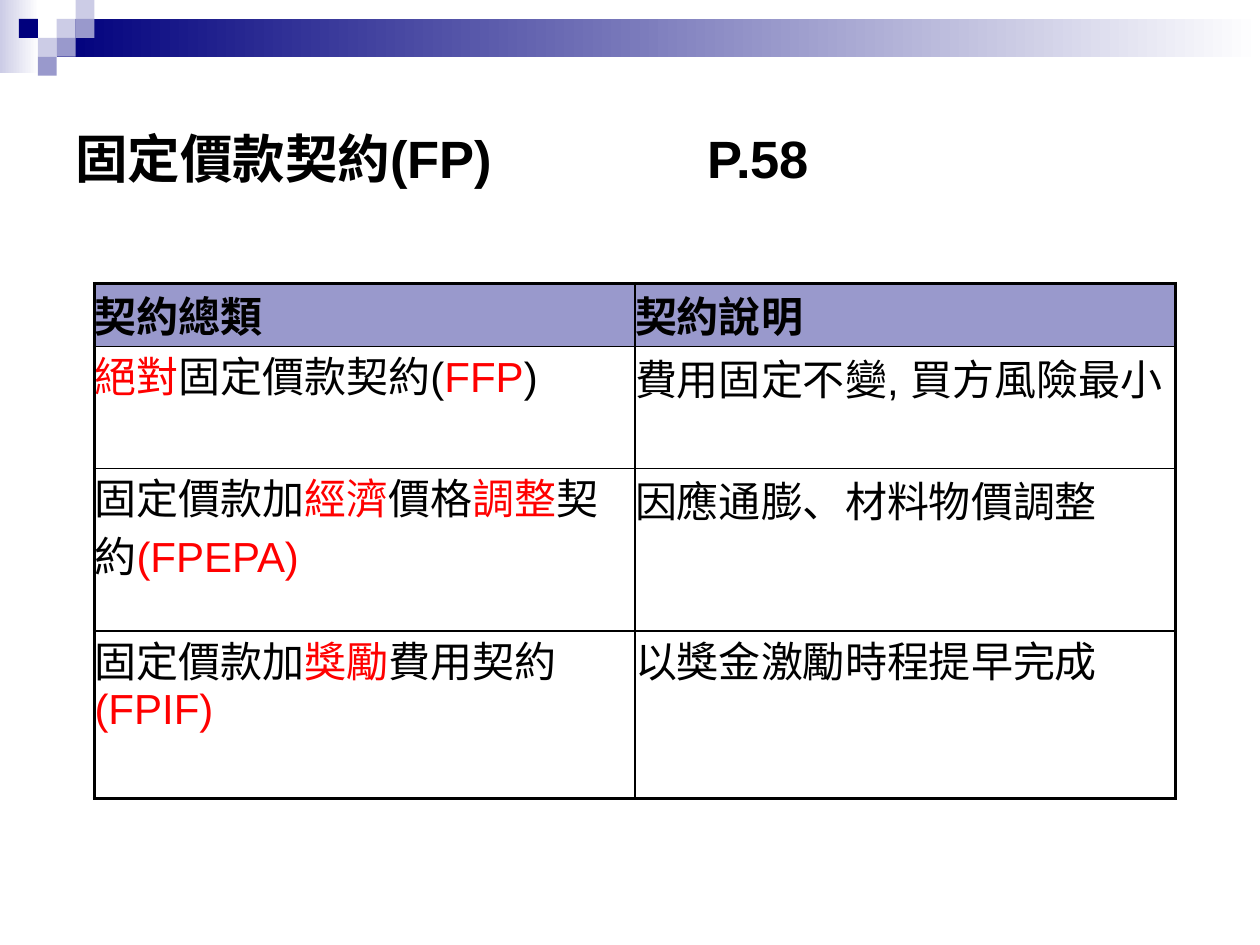
import pptx
import pptx.dml.color
import pptx.enum.shapes
import pptx.enum.text
import pptx.oxml
import pptx.oxml.ns
import pptx.util

COLORS = {
    "navy": "00007D",
    "violet": "9999CC",
    "lilac": "CCCCE6",
    "white": "FFFFFF",
    "black": "000000",
    "red": "FF0000",
}
UNIT = 0.15  # side of one decorative square, inches
THICK, THIN = 2.25, 1  # table rules, points

# Squares as column, row, colour
SQUARES = [
    (3, 1, "lilac"), (4, 0, "lilac"), (4, 1, "violet"), (2, 2, "lilac"),
    (1, 1, "navy"), (3, 2, "violet"), (2, 3, "violet"),
]

COLUMN_WIDTH = 4.29
ROW_HEIGHTS = [0.5, 0.97, 1.29, 1.33]
HEADINGS = ["契約總類", "契約說明"]
# Each cell: line spacing and its runs; "*" marks a red run
CONTRACTS = [
    [(0.95, ["*絕對", "固定價款契約(", "*FFP", ")"]),
     (1, ["費用固定不變, 買方風險最小"])],
    [(0.95, ["固定價款加", "*經濟", "價格", "*調整", "契約", "*(FPEPA)"]),
     (1, ["因應通膨、材料物價調整"])],
    [(0.95, ["固定價款加", "*獎勵", "費用契約", "*(FPIF)"]),
     (0.95, ["以獎金激勵時程提早完成"])],
]


def rgb(name):
    return pptx.dml.color.RGBColor.from_string(COLORS[name])


def add_text(p, text, size=24, color="black", bold=False):
    r = p.add_run()
    r.text = text
    r.font.name = "Arial"
    r.font.size = pptx.util.Pt(size)
    r.font.bold = bold
    r.font.color.rgb = rgb(color)


def set_margins(obj, x, y):
    obj.margin_left = obj.margin_right = pptx.util.Inches(x)
    obj.margin_top = obj.margin_bottom = pptx.util.Inches(y)


def add_block(s, x, y, w, h, color, fade=False):
    """Rectangle without outline, optionally fading to white on the right."""
    sp = s.shapes.add_shape(
        pptx.enum.shapes.MSO_SHAPE.RECTANGLE,
        *(pptx.util.Inches(v) for v in (x, y, w, h)))
    sp.shadow.inherit = False
    sp.line.fill.background()
    if fade:
        sp.fill.gradient()
        sp.fill.gradient_angle = 0
        for stop, name in zip(sp.fill.gradient_stops, (color, "white")):
            stop.color.rgb = rgb(name)
    else:
        sp.fill.solid()
        sp.fill.fore_color.rgb = rgb(color)


def add_title(s, prs, text, tab):
    w, h = prs.slide_width, prs.slide_height
    sp = s.shapes.add_textbox(
        int(w * 0.05), int(h / 15), int(w * 0.9), int(h * 0.2))
    tf = sp.text_frame
    tf.word_wrap = True
    tf.vertical_anchor = pptx.enum.text.MSO_ANCHOR.MIDDLE
    set_margins(tf, 0.1, 0.05)
    p = tf.paragraphs[0]
    add_text(p, text, size=30, bold=True)
    # Tab stop that sets the page reference apart
    p._p.get_or_add_pPr().append(pptx.oxml.parse_xml(
        f'<a:tabLst {pptx.oxml.ns.nsdecls("a")}>'
        f'<a:tab pos="{pptx.util.Inches(tab)}" algn="l"/></a:tabLst>'))


def set_borders(cell, **widths):
    tc_pr = cell._tc.get_or_add_tcPr()
    for side in "LRTB":
        tc_pr.append(pptx.oxml.parse_xml(
            f'<a:ln{side} {pptx.oxml.ns.nsdecls("a")} '
            f'w="{pptx.util.Pt(widths[side])}"><a:solidFill>'
            f'<a:srgbClr val="{COLORS["black"]}"/></a:solidFill></a:ln{side}>'))


def add_contract_table(s, x, y):
    rows = [[(1, [text]) for text in HEADINGS]] + CONTRACTS
    n_rows, n_cols = len(rows), len(HEADINGS)
    table = s.shapes.add_table(
        n_rows, n_cols, pptx.util.Inches(x), pptx.util.Inches(y),
        pptx.util.Inches(COLUMN_WIDTH * n_cols),
        pptx.util.Inches(sum(ROW_HEIGHTS))).table
    table.first_row = table.horz_banding = False
    for column in table.columns:
        column.width = pptx.util.Inches(COLUMN_WIDTH)
    for i, (row, height) in enumerate(zip(rows, ROW_HEIGHTS)):
        table.rows[i].height = pptx.util.Inches(height)
        for j, (spacing, runs) in enumerate(row):
            cell = table.cell(i, j)
            set_margins(cell, 0, 0)
            # Thick rules on the outer frame only
            set_borders(cell,
                        L=THICK if j == 0 else THIN,
                        R=THICK if j == n_cols - 1 else THIN,
                        T=THICK if i == 0 else THIN,
                        B=THICK if i == n_rows - 1 else THIN)
            if i == 0:
                cell.fill.solid()
                cell.fill.fore_color.rgb = rgb("violet")
            else:
                cell.fill.background()
            p = cell.text_frame.paragraphs[0]
            p.line_spacing = float(spacing)
            for text in runs:
                add_text(p, text.lstrip("*"), bold=i == 0,
                         color="red" if text.startswith("*") else "black")


def main():
    prs = pptx.Presentation()
    prs.slide_width = pptx.util.Inches(10)
    prs.slide_height = pptx.util.Inches(7.5)
    s = prs.slides.add_slide(prs.slide_layouts[6])

    # Header band and squares
    add_block(s, 0, 0, 0.31, 0.58, "lilac", fade=True)
    add_block(s, 3 * UNIT, UNIT, 10 - 3 * UNIT, 2 * UNIT, "navy", fade=True)
    for column, row, color in SQUARES:
        add_block(s, column * UNIT, row * UNIT, UNIT, UNIT, color)

    # Title and table
    add_title(s, prs, "固定價款契約(FP)\tP.58", tab=5.02)
    add_contract_table(s, 0.75, 2.25)

    prs.save("out.pptx")


if __name__ == "__main__":
    main()
